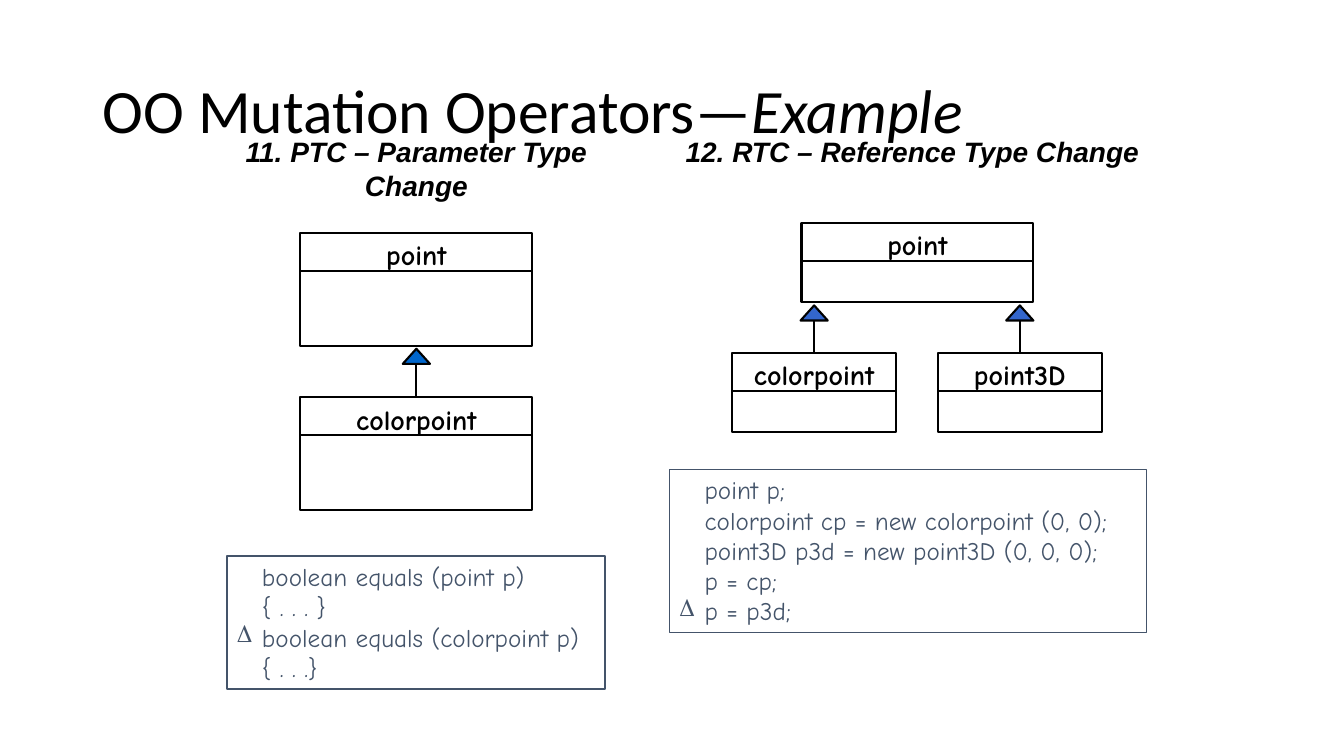
from lxml import etree
from pptx import Presentation
from pptx.dml.color import RGBColor
from pptx.enum.shapes import MSO_CONNECTOR, MSO_SHAPE
from pptx.enum.text import MSO_ANCHOR, PP_ALIGN
from pptx.oxml.ns import qn
from pptx.util import Inches, Pt

LEFT, CENTER = PP_ALIGN.LEFT, PP_ALIGN.CENTER
TOP, MIDDLE = MSO_ANCHOR.TOP, MSO_ANCHOR.MIDDLE
RECTANGLE, TRIANGLE = MSO_SHAPE.RECTANGLE, MSO_SHAPE.ISOSCELES_TRIANGLE
STRAIGHT = MSO_CONNECTOR.STRAIGHT
COLORS = {"ink": "000000", "code": "44546A", "ptc": "0066CC", "rtc": "3366CC"}
CODE_INDENT = 0.25
MUTANT = "Δ"


def color(name):
    """Return the named colour."""
    return RGBColor.from_string(COLORS[name])


def write(paragraph, text, *, font, size, ink="ink", bold=False, italic=False,
          align=LEFT):
    """Add a formatted run to a paragraph."""
    paragraph.alignment = align
    run = paragraph.add_run()
    run.text = text
    run.font.name = font
    run.font.size = Pt(size)
    run.font.bold = bold
    run.font.italic = italic
    run.font.color.rgb = color(ink)


def add_text_box(slide, left, top, width, height, anchor=TOP):
    """Add a wrapping text box and return its first paragraph."""
    box = slide.shapes.add_textbox(*map(Inches, (left, top, width, height)))
    box.text_frame.word_wrap = True
    box.text_frame.vertical_anchor = anchor
    return box.text_frame.paragraphs[0]


def add_outline(slide, kind, left, top, width, height, *, line="ink",
                weight=1.5, fill=None):
    """Add an outlined shape with an optional fill."""
    shape = slide.shapes.add_shape(
        kind, *map(Inches, (left, top, width, height)))
    shape.shadow.inherit = False
    if fill:
        shape.fill.solid()
        shape.fill.fore_color.rgb = color(fill)
    else:
        shape.fill.background()
    shape.line.color.rgb = color(line)
    shape.line.width = Pt(weight)
    shape.text_frame.word_wrap = True
    shape.text_frame.vertical_anchor = TOP
    return shape


def add_line(slide, x1, y1, x2, y2):
    """Add a straight black line without a shadow."""
    line = slide.shapes.add_connector(
        STRAIGHT, *map(Inches, (x1, y1, x2, y2)))
    line.line.color.rgb = color("ink")
    line.line.width = Pt(1.5)
    etree.SubElement(line._element.spPr, qn("a:effectLst"))
    return line


def add_class(slide, name, left, top, width, height):
    """Add a class box with a divider below its name."""
    box = add_outline(slide, RECTANGLE, left, top, width, height)
    write(box.text_frame.paragraphs[0], name, font="Comic Neue", size=20,
          bold=True, align=CENTER)
    add_line(slide, left, top + 0.38, left + width, top + 0.38)
    return box


def add_inheritance(slide, child, parent, fill):
    """Add a line with a triangle from a child class up to its parent."""
    center = (child.left + child.width / 2) / Inches(1)
    tip = (parent.top + parent.height) / Inches(1) + 0.03
    base = tip + 0.15
    line = add_line(slide, center, child.top / Inches(1), center, base)
    line.begin_connect(child, 0)
    add_outline(slide, TRIANGLE, center - 0.135, tip, 0.27, 0.15, fill=fill)


def add_code(slide, lines, left, top, width, height, weight):
    """Add a code box, with a mutant mark as the bullet of marked lines."""
    box = add_outline(slide, RECTANGLE, left, top, width, height,
                      line="code", weight=weight)
    frame = box.text_frame
    for index, (text, mutated) in enumerate(lines):
        paragraph = frame.add_paragraph() if index else frame.paragraphs[0]
        write(paragraph, text, font="Comic Neue", size=18, ink="code")
        properties = paragraph._p.get_or_add_pPr()
        properties.set("marL", str(Inches(CODE_INDENT)))
        if mutated:
            properties.set("indent", str(-Inches(CODE_INDENT)))
            etree.SubElement(properties, qn("a:buChar"), char=MUTANT)


def add_heading(slide, text, left, width):
    """Add the heading of one operator."""
    write(add_text_box(slide, left, 1.29, width, 0.44), text, font="Arial",
          size=20, bold=True, italic=True, align=CENTER)


def add_parameter_example(slide):
    """Add the parameter type change example."""
    add_heading(slide, "11. PTC – Parameter Type Change", 1.79, 4.68)
    point = add_class(slide, "point", 2.98, 2.31, 2.3, 1.12)
    colorpoint = add_class(slide, "colorpoint", 2.98, 3.94, 2.3, 1.12)
    add_inheritance(slide, colorpoint, point, "ptc")
    add_code(slide, [
        ("boolean equals (point p)", False),
        ("{ . . . }", False),
        ("boolean equals (colorpoint p)", True),
        ("{ . . .}", False),
    ], 2.25, 5.52, 3.75, 1.32, 1.5)


def add_reference_example(slide):
    """Add the reference type change example."""
    add_heading(slide, "12. RTC – Reference Type Change", 6.56, 4.98)
    point = add_class(slide, "point", 7.95, 2.21, 2.3, 0.79)
    for name, left in (("colorpoint", 7.26), ("point3D", 9.3)):
        child = add_class(slide, name, left, 3.5, 1.63, 0.79)
        add_inheritance(slide, child, point, "rtc")
    add_code(slide, [
        ("point p;", False),
        ("colorpoint cp = new colorpoint (0, 0);", False),
        ("point3D p3d = new point3D (0, 0, 0);", False),
        ("p = cp;", False),
        ("p = p3d;", True),
    ], 6.64, 4.66, 4.73, 1.62, 0.75)


def main():
    """Build and save the slide."""
    presentation = Presentation()
    presentation.slide_width = Inches(13.33)
    presentation.slide_height = Inches(7.5)
    slide = presentation.slides.add_slide(presentation.slide_layouts[6])
    title = add_text_box(slide, 0.92, 0.4, 11.5, 1.45, MIDDLE)
    title.line_spacing = 0.9
    write(title, "OO Mutation Operators—", font="Calibri", size=44)
    write(title, "Example", font="Calibri", size=44, italic=True)
    add_parameter_example(slide)
    add_reference_example(slide)
    presentation.save("out.pptx")


if __name__ == "__main__":
    main()
